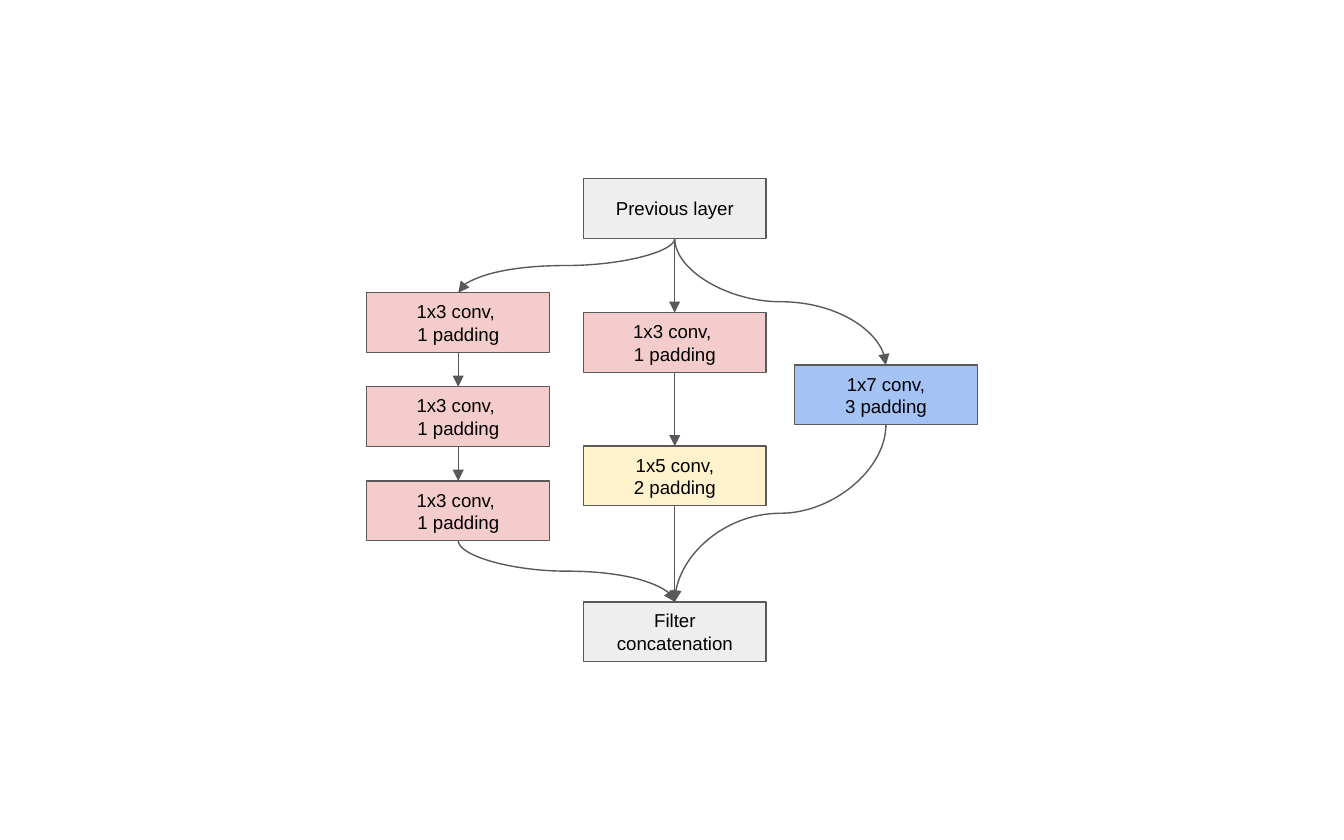
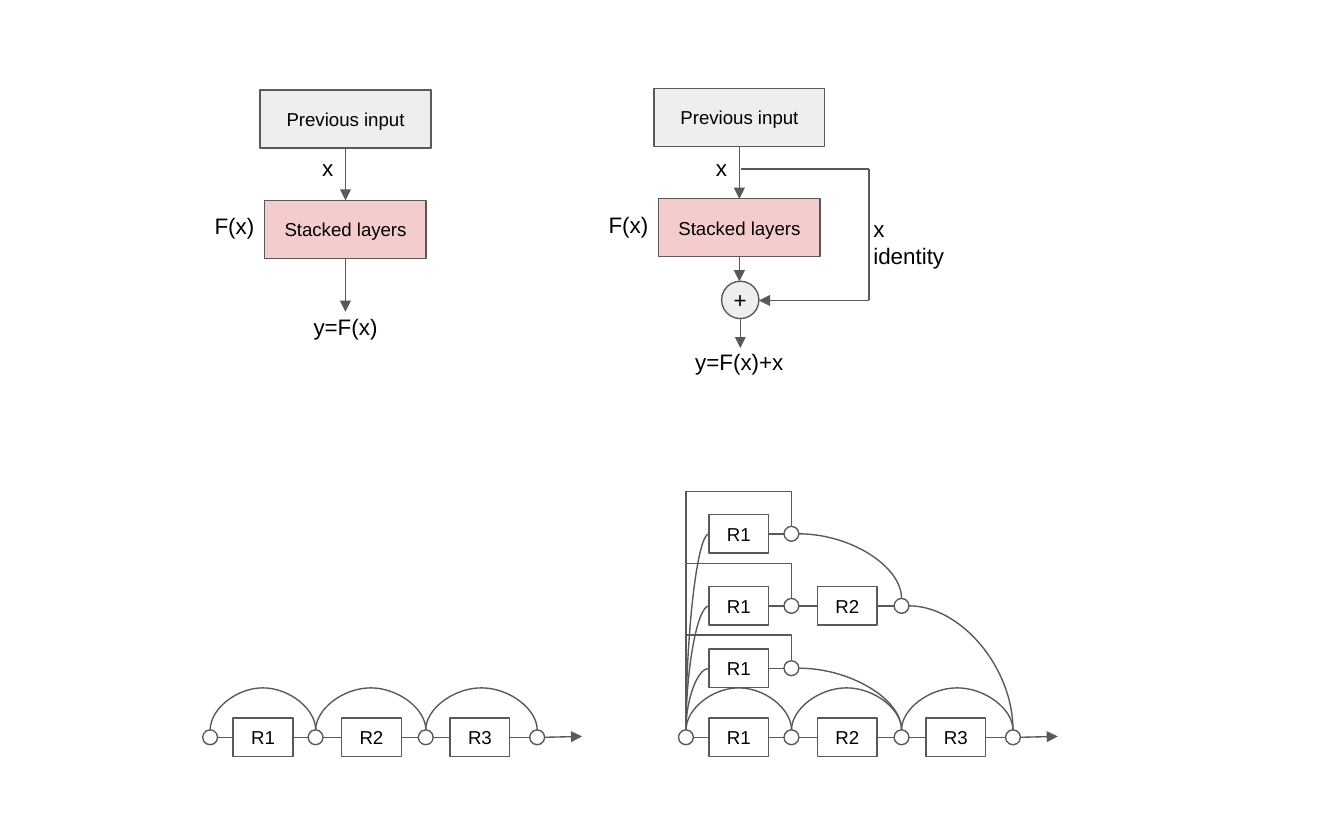
import itertools

import lxml.etree
import pptx
import pptx.dml.color
import pptx.enum.shapes
import pptx.enum.text
import pptx.oxml.ns
import pptx.util

Pt = pptx.util.Pt
RGBColor = pptx.dml.color.RGBColor
SHAPE = pptx.enum.shapes.MSO_SHAPE
CONNECTOR = pptx.enum.shapes.MSO_CONNECTOR
ALIGN = pptx.enum.text.PP_ALIGN
ANCHOR = pptx.enum.text.MSO_ANCHOR
qn = pptx.oxml.ns.qn

GRAY = RGBColor(0xEE, 0xEE, 0xEE)
PINK = RGBColor(0xF4, 0xCC, 0xCC)
YELLOW = RGBColor(0xFF, 0xF2, 0xCC)
BLUE = RGBColor(0xA4, 0xC2, 0xF4)
WHITE = RGBColor(0xFF, 0xFF, 0xFF)
BLACK = RGBColor(0, 0, 0)
OUTLINE = RGBColor(0x59, 0x59, 0x59)

FONT = "Arial"
LINE_WIDTH = 0.75

LAYER_W, LAYER_H = 98, 32
INPUT_W, STACKED_W, STAGE_H = 91.5, 86.5, 31
BLOCK_W, BLOCK_H = 32, 20.6
NODE_R = 4
NODE_OFFSETS = (0, 56.5, 115.5, 175.2)
BLOCK_OFFSETS = (28.3, 86.4, 144.5)
MAIN_AXIS = 395
# A skip arc is a nearly flat curve whose bend lies far outside its box.
ARC_DROP, ARC_BEND = 0.05, -396.88


def write_text(holder, text, size=10, align=ALIGN.CENTER, anchor=ANCHOR.MIDDLE, inset=7.2):
    frame = holder.text_frame
    frame.word_wrap = True
    frame.vertical_anchor = anchor
    frame.margin_left = frame.margin_right = Pt(inset)
    frame.margin_top = frame.margin_bottom = Pt(inset)
    for index, line in enumerate(text.split("\n")):
        paragraph = frame.paragraphs[0] if index == 0 else frame.add_paragraph()
        paragraph.alignment = align
        run = paragraph.add_run()
        run.text = line
        run.font.size = Pt(size)
        run.font.name = FONT
        run.font.color.rgb = BLACK


def add_outlined(slide, kind, center_x, top, width, height, fill, text="", **text_format):
    shape = slide.shapes.add_shape(
        kind, Pt(center_x - width / 2), Pt(top), Pt(width), Pt(height))
    shape.shadow.inherit = False
    shape.fill.solid()
    shape.fill.fore_color.rgb = fill
    shape.line.color.rgb = OUTLINE
    shape.line.width = Pt(LINE_WIDTH)
    if text:
        write_text(shape, text, **text_format)


def add_box(slide, center_x, top, width, height, fill, text):
    add_outlined(slide, SHAPE.RECTANGLE, center_x, top, width, height, fill, text)


def add_node(slide, x, y):
    add_outlined(slide, SHAPE.OVAL, x, y - NODE_R, 2 * NODE_R, 2 * NODE_R, WHITE)


def add_label(slide, left, top, width, height, text, align=ALIGN.LEFT):
    label = slide.shapes.add_textbox(Pt(left), Pt(top), Pt(width), Pt(height))
    write_text(label, text, size=12, align=align, anchor=ANCHOR.TOP)


def add_link(slide, start, end, kind=CONNECTOR.STRAIGHT, arrow=False,
             upright=False, quarter=False, bend=None):
    """Join two points; upright leaves vertically, quarter turns once, bend moves the turn."""
    (x1, y1), (x2, y2) = start, end
    rotation = 0
    if upright:
        dx, dy = x2 - x1, y2 - y1
        mid_x, mid_y = (x1 + x2) / 2, (y1 + y2) / 2
        rotation = 90 if dx < 0 else 270
        half_run = abs(dy) / 2
        if (dx < 0) == (dy < 0):
            half_run = -half_run
        x1, x2 = mid_x - half_run, mid_x + half_run
        y1, y2 = mid_y - abs(dx) / 2, mid_y + abs(dx) / 2
    link = slide.shapes.add_connector(kind, Pt(x1), Pt(y1), Pt(x2), Pt(y2))
    link.line.color.rgb = OUTLINE
    link.line.width = Pt(LINE_WIDTH)
    properties = link._element.spPr
    if rotation:
        properties.find(qn("a:xfrm")).set("rot", str(rotation * 60000))
    geometry = properties.find(qn("a:prstGeom"))
    if quarter:
        geometry.set("prst", "curvedConnector2")
    if bend is not None:
        lxml.etree.SubElement(geometry.find(qn("a:avLst")), qn("a:gd"),
                              name="adj1", fmla=f"val {round(bend * 100000)}")
    if arrow:
        lxml.etree.SubElement(properties.find(qn("a:ln")), qn("a:tailEnd"), type="triangle")
    lxml.etree.SubElement(properties, qn("a:effectLst"))


def draw_inception_module(slide):
    middle_x, previous_top, concat_top = 361.5, 95.7, 322.4
    small = ("1x3 conv, \n1 padding", PINK)
    medium = ("1x5 conv,\n2 padding", YELLOW)
    large = ("1x7 conv,\n3 padding", BLUE)
    branches = (
        (245.5, [(156.8 + 50.4 * row, *small) for row in range(3)]),
        (middle_x, [(167.5, *small), (239, *medium)]),
        (474.6, [(195.6, *large)]),
    )
    add_box(slide, middle_x, previous_top, LAYER_W, LAYER_H, GRAY, "Previous layer")
    add_box(slide, middle_x, concat_top, LAYER_W, LAYER_H, GRAY, "Filter concatenation")
    for x, layers in branches:
        for top, text, fill in layers:
            add_box(slide, x, top, LAYER_W, LAYER_H, fill, text)
        tops = [layer[0] for layer in layers]
        for upper, lower in itertools.pairwise(tops):
            add_link(slide, (x, upper + LAYER_H), (x, lower), arrow=True)
        add_link(slide, (middle_x, previous_top + LAYER_H), (x, tops[0]),
                 CONNECTOR.CURVE, arrow=True, upright=True)
        add_link(slide, (x, tops[-1] + LAYER_H), (middle_x, concat_top),
                 CONNECTOR.CURVE, arrow=True, upright=True)


def draw_stacked_layers(slide, x, top, output, output_top):
    """Draw the two stages with their labels and return the bottom of the lower one."""
    stacked_top = top + 59.1
    add_box(slide, x, top, INPUT_W, STAGE_H, GRAY, "Previous input")
    add_box(slide, x, stacked_top, STACKED_W, STAGE_H, PINK, "Stacked layers")
    add_link(slide, (x, top + STAGE_H), (x, stacked_top), arrow=True)
    add_label(slide, x - 19.6, 75.6, 16.6, 39, "x")
    add_label(slide, x - 77.2, stacked_top - 0.7, 70.6, STAGE_H, "F(x)")
    add_label(slide, x - 35.3, output_top, 70.6, STAGE_H, output, align=ALIGN.CENTER)
    return stacked_top + STAGE_H


def draw_identity_shortcut(slide, x, stacked_bottom):
    sum_x, sum_y, sum_r = x + 0.5, 160.7, 10
    add_link(slide, (x, stacked_bottom), (x, sum_y - sum_r), arrow=True)
    add_outlined(slide, SHAPE.OVAL, sum_x, sum_y - sum_r, 2 * sum_r, 2 * sum_r,
                 GRAY, "+", size=12, inset=0)
    add_link(slide, (sum_x, sum_y + sum_r), (sum_x, 186.5), arrow=True)
    route = ((x + 1, 90.6), (465.6, 90.6), (465.6, 161), (sum_x + sum_r, 161))
    for leg, (start, end) in enumerate(itertools.pairwise(route)):
        add_link(slide, start, end, arrow=leg == 2)
    add_label(slide, 460.8, 108, 152, 39, "x\nidentity")


def draw_residual_row(slide, x, y, blocks, entry=False):
    """Draw blocks R1, R2, ... each followed by a node; entry adds the first node."""
    if entry:
        add_node(slide, x, y)
    for index in range(blocks):
        before, after = x + NODE_OFFSETS[index], x + NODE_OFFSETS[index + 1]
        center = x + BLOCK_OFFSETS[index]
        add_box(slide, center, y - BLOCK_H / 2, BLOCK_W, BLOCK_H, WHITE, f"R{index + 1}")
        add_node(slide, after, y)
        if entry or index:
            add_link(slide, (before + NODE_R, y), (center - BLOCK_W / 2, y))
        add_link(slide, (center + BLOCK_W / 2, y), (after - NODE_R, y))


def draw_residual_chain(slide, x):
    draw_residual_row(slide, x, MAIN_AXIS, 3, entry=True)
    node_top = MAIN_AXIS - NODE_R
    for before, after in itertools.pairwise(NODE_OFFSETS):
        add_link(slide, (x + before, node_top), (x + after, node_top + ARC_DROP),
                 CONNECTOR.CURVE, upright=True, bend=ARC_BEND)
    end = x + NODE_OFFSETS[-1]
    add_link(slide, (end + NODE_R, MAIN_AXIS), (end + 24, MAIN_AXIS - 0.5), arrow=True)


def draw_unrolled_paths(slide, x):
    main_top = MAIN_AXIS - NODE_R
    # axis, top of the shortcut, number of blocks, axis that the path joins
    paths = ((358, 340.1, 1, MAIN_AXIS), (324.6, 302, 2, MAIN_AXIS), (286, 263.2, 1, 324.6))
    for axis, shortcut_y, blocks, joined_axis in paths:
        draw_residual_row(slide, x, axis, blocks)
        node_top = axis - NODE_R
        add_link(slide, (x, main_top), (x + NODE_OFFSETS[1], node_top), CONNECTOR.ELBOW,
                 upright=True, bend=(main_top - shortcut_y) / (main_top - node_top))
        add_link(slide, (x, main_top), (x + BLOCK_OFFSETS[0] - BLOCK_W / 2, axis),
                 CONNECTOR.CURVE, upright=True, quarter=True)
        add_link(slide, (x + NODE_OFFSETS[blocks] + NODE_R, axis),
                 (x + NODE_OFFSETS[blocks + 1], joined_axis - NODE_R),
                 CONNECTOR.CURVE, quarter=True)


def draw_residual_networks(slide):
    plain_x, residual_x = 185.1, 396.1
    plain_bottom = draw_stacked_layers(slide, plain_x, 48.3, "y=F(x)", 160.6)
    add_link(slide, (plain_x, plain_bottom), (plain_x, 167), arrow=True)
    residual_bottom = draw_stacked_layers(slide, residual_x, 47.4, "y=F(x)+x", 179.3)
    draw_identity_shortcut(slide, residual_x, residual_bottom)

    chain_x, unrolled_x = 112.6, 367.5
    draw_residual_chain(slide, chain_x)
    draw_residual_chain(slide, unrolled_x)
    draw_unrolled_paths(slide, unrolled_x)


def main():
    deck = pptx.Presentation()
    deck.slide_width, deck.slide_height = Pt(720), Pt(450)
    blank = deck.slide_layouts[6]
    for draw in (draw_inception_module, draw_residual_networks):
        draw(deck.slides.add_slide(blank))
    deck.save("out.pptx")


if __name__ == "__main__":
    main()
